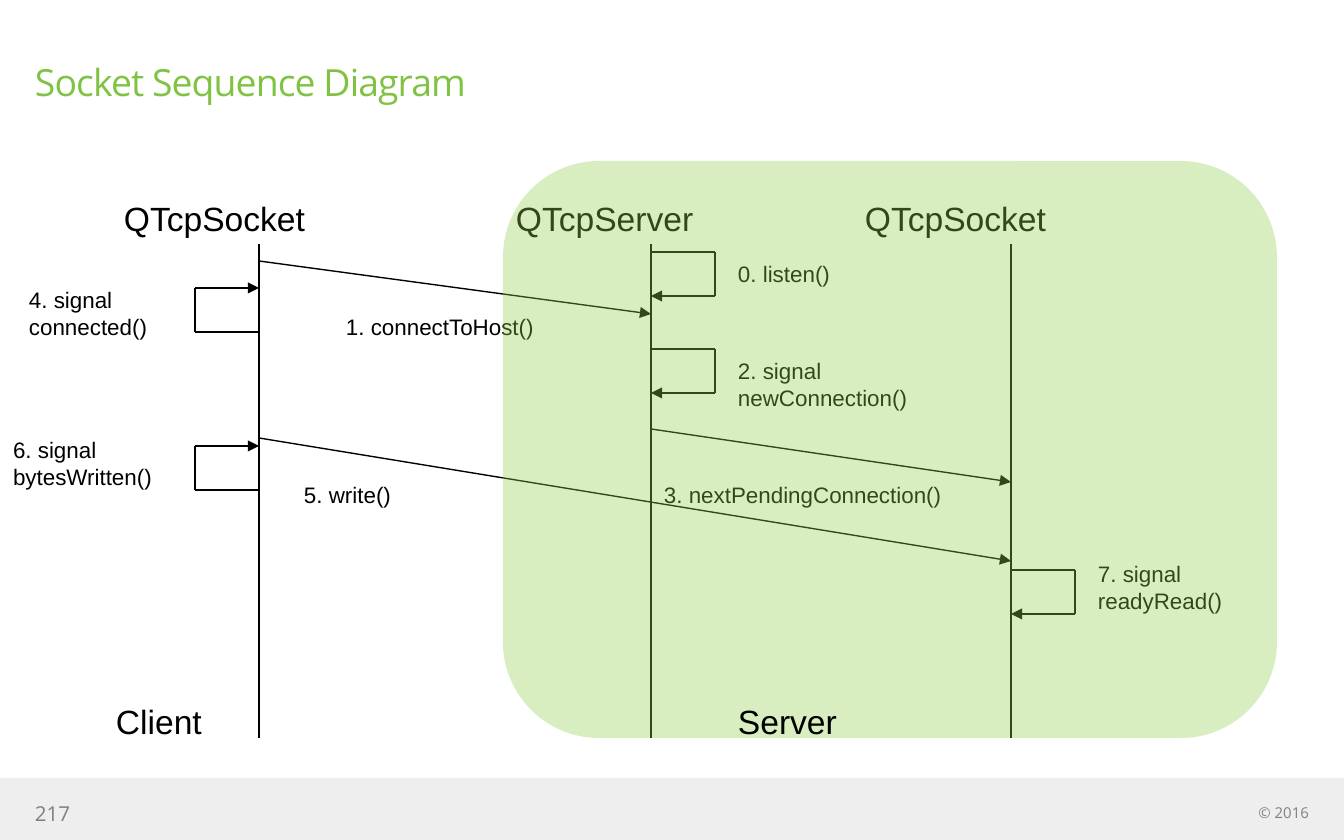
"""Build the socket sequence diagram slide."""
from lxml.etree import SubElement
from pptx import Presentation
from pptx.dml.color import RGBColor
from pptx.enum.shapes import MSO_CONNECTOR as Link, MSO_SHAPE as Shape
from pptx.enum.text import MSO_ANCHOR as Anchor, PP_ALIGN as Align
from pptx.oxml.ns import qn
from pptx.util import Emu, Pt

PX = 914400 / 134.4
BLACK = RGBColor(0x00, 0x00, 0x00)
GREEN = RGBColor(0x80, 0xC3, 0x42)
LIME = RGBColor(0x92, 0xD0, 0x50)
SILVER = RGBColor(0xEE, 0xEE, 0xEE)
GRAY = RGBColor(0x80, 0x80, 0x80)
DIM = RGBColor(0x7F, 0x7F, 0x7F)


def write(text, area, size, color=BLACK, font="Arial", pad=(13, 7),
          anchor=Anchor.TOP, align=Align.LEFT):
    box = slide.shapes.add_textbox(*[Emu(round(v * PX)) for v in area])
    frame = box.text_frame
    frame.word_wrap = True
    frame.vertical_anchor = anchor
    frame.margin_left = frame.margin_right = Emu(round(pad[0] * PX))
    frame.margin_top = frame.margin_bottom = Emu(round(pad[1] * PX))
    par = frame.paragraphs[0]
    par.alignment = align
    run = par.add_run()
    run.text = text
    run.font.name = font
    run.font.size = Pt(size)
    run.font.color.rgb = color
    return run


def draw(shapes, start, end, arrow=False):
    ends = [Emu(round(v * PX)) for v in (*start, *end)]
    line = shapes.add_connector(Link.STRAIGHT, *ends)
    line.line.color.rgb = BLACK
    line.line.width = Pt(0.75)
    if arrow:
        SubElement(line.line._get_or_add_ln(), qn("a:tailEnd"), type="triangle")
    SubElement(line._element.spPr, qn("a:effectLst"))


deck = Presentation()
deck.slide_width = Emu(round(1344 * PX))
deck.slide_height = Emu(round(840 * PX))
slide = deck.slides.add_slide(deck.slide_layouts[6])

bar = slide.shapes.add_shape(
    Shape.RECTANGLE, *[Emu(round(v * PX)) for v in (0, 778, 1344, 62)])
bar.shadow.inherit = False
bar.fill.solid()
bar.fill.fore_color.rgb = SILVER
bar.line.fill.background()

write("© 2016", (1064, 804, 245, 17), 8, GRAY, "Open Sans", (0, 0),
      Anchor.MIDDLE, Align.RIGHT)
write("217", (35, 800, 332, 26), 11, DIM, "Open Sans", (0, 0), Anchor.MIDDLE)
title = write("Socket Sequence Diagram", (35, 59, 907, 114), 20, GREEN,
              "Open Sans", (0, 0))
title._r.get_or_add_rPr().set("spc", "-50")

CLIENT, SERVER, PEER = 259, 651, 1011
for name, left, x in (("QTcpSocket", 111, CLIENT), ("QTcpServer", 503, SERVER),
                      ("QTcpSocket", 852, PEER)):
    write(name, (left, 191, 296, 50), 18)
    draw(slide.shapes, (x, 244), (x, 738))

for start, end in (((CLIENT, 261), (SERVER, 314)),
                   ((CLIENT, 438), (PEER, 561)),
                   ((SERVER, 429), (PEER, 482))):
    draw(slide.shapes, start, end, True)

for x, first, step, rise in ((CLIENT, 332, -64, -44), (CLIENT, 490, -64, -44),
                             (SERVER, 252, 64, 44), (SERVER, 349, 64, 44),
                             (PEER, 570, 64, 44)):
    loop = slide.shapes.add_group_shape().shapes
    side, last = x + step, first + rise
    draw(loop, (x, first), (side, first))
    draw(loop, (side, first), (side, last))
    draw(loop, (side, last), (x, last), True)

for text, area in (("0. listen()", (725, 253, 191, 42)),
                   ("1. connectToHost()", (333, 306, 276, 42)),
                   ("2. signal newConnection()", (725, 350, 222, 69)),
                   ("3. nextPendingConnection()", (651, 474, 360, 42)),
                   ("4. signal connected()", (16, 279, 191, 69)),
                   ("5. write()", (291, 474, 276, 42)),
                   ("6. signal bytesWritten()", (0, 429, 206, 69)),
                   ("7. signal readyRead()", (1085, 553, 222, 69))):
    write(text, area, 12)

zone = slide.shapes.add_shape(
    Shape.ROUNDED_RECTANGLE, *[Emu(round(v * PX)) for v in (503, 161, 774, 577)])
zone.shadow.inherit = False
zone.fill.solid()
zone.fill.fore_color.rgb = LIME
zone.line.fill.background()
tint = zone._element.spPr.find(qn("a:solidFill")).find(qn("a:srgbClr"))
SubElement(tint, qn("a:alpha"), val="35000")

for name, left in (("Client", 103), ("Server", 725)):
    write(name, (left, 694, 296, 50), 18)

deck.save("out.pptx")
